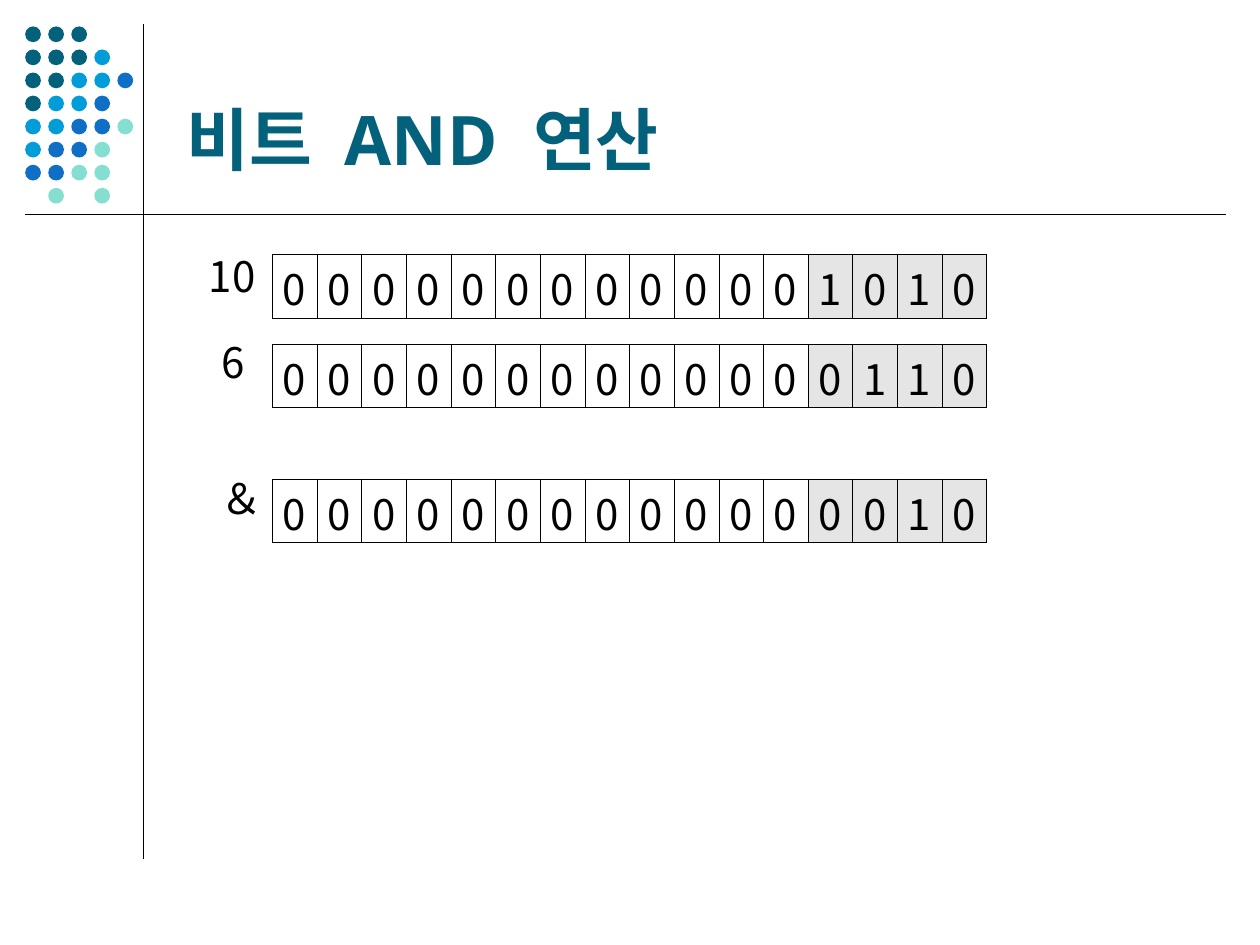
from dataclasses import dataclass

from lxml import etree
from pptx import Presentation
from pptx.dml.color import RGBColor
from pptx.enum.shapes import MSO_CONNECTOR, MSO_SHAPE
from pptx.enum.text import MSO_ANCHOR, PP_ALIGN
from pptx.oxml.ns import qn
from pptx.util import Emu, Inches, Pt

ELLIPSE = MSO_SHAPE.OVAL
STRAIGHT = MSO_CONNECTOR.STRAIGHT
MIDDLE, BOTTOM = MSO_ANCHOR.MIDDLE, MSO_ANCHOR.BOTTOM
LEFT, CENTER = PP_ALIGN.LEFT, PP_ALIGN.CENTER

SLIDE_WIDTH, SLIDE_HEIGHT = Inches(10), Inches(7.5)
GRID_COLUMNS, GRID_ROWS = 100, 75


@dataclass(frozen=True)
class Theme:
    ink: str = "000000"
    title: str = "04617B"
    shaded: str = "E5E5E5"
    title_font: str = "Noto Sans"
    body_font: str = "Noto Sans CJK KR"
    title_size: float = 39
    body_size: float = 24
    rule_width: float = 0.75
    border_width: float = 0.06
    title_gap: float = 10


@dataclass(frozen=True)
class Area:
    column: float
    row: float
    columns: float
    rows: float

    def lengths(self) -> tuple:
        return (across(self.column), down(self.row),
                across(self.columns), down(self.rows))


@dataclass(frozen=True)
class BitRow:
    label: str
    label_area: Area
    bits: str
    row: float


THEME = Theme()
DOT_COLORS = {"D": "04617B", "C": "009DD9", "B": "0F6FC6", "M": "85DFD0"}
DOT_PATTERN = ("DDD", "DDDC", "DDCCB", "DCCB", "CCBBM", "CBBM", "BBMM", " M M")
DOT_PITCH, DOT_SIZE = 1.83, 1.25
DOT_LEFT, DOT_TOP = 2, 2.1

TABLE_LEFT, TABLE_COLUMNS, TABLE_ROWS = 21.6, 56.7, 5.05
SHADED_BITS = 4
BIT_ROWS = (
    BitRow("10", Area(15.6, 19.4, 7.5, 5), "0000000000001010", 20.2),
    BitRow("6", Area(16.6, 26.2, 7.1, 5), "0000000000000110", 27.3),
    BitRow("＆", Area(16.5, 37, 6.8, 5), "0000000000000010", 38),
)


def across(columns: float) -> Emu:
    return Emu(round(SLIDE_WIDTH * columns / GRID_COLUMNS))


def down(rows: float) -> Emu:
    return Emu(round(SLIDE_HEIGHT * rows / GRID_ROWS))


def apply_format(target, values: dict) -> None:
    for name, value in values.items():
        setattr(target, name, value)


def add_run(paragraph, text: str, font: str, size: float, color: str, bold: bool):
    run = paragraph.add_run()
    run.text = text
    apply_format(run.font, {"name": font, "size": Pt(size), "bold": bold})
    run.font.color.rgb = RGBColor.from_string(color)
    east_asian = etree.SubElement(run.font._element, qn("a:ea"))
    east_asian.set("typeface", THEME.body_font)
    return run


def add_body_text(paragraph, text: str, alignment) -> None:
    paragraph.alignment = alignment
    add_run(paragraph, text, THEME.body_font, THEME.body_size, THEME.ink, False)


def add_rule(slide, start: tuple, end: tuple) -> None:
    connector = slide.shapes.add_connector(
        STRAIGHT, across(start[0]), down(start[1]), across(end[0]), down(end[1]))
    connector.line.color.rgb = RGBColor.from_string(THEME.ink)
    connector.line.width = Pt(THEME.rule_width)
    etree.SubElement(connector._element.spPr, qn("a:effectLst"))


def add_dots(slide) -> None:
    for row, pattern in enumerate(DOT_PATTERN):
        for column, key in enumerate(pattern):
            if key not in DOT_COLORS:
                continue
            area = Area(DOT_LEFT + column * DOT_PITCH, DOT_TOP + row * DOT_PITCH,
                        DOT_SIZE, DOT_SIZE)
            dot = slide.shapes.add_shape(ELLIPSE, *area.lengths())
            dot.shadow.inherit = False
            dot.fill.solid()
            dot.fill.fore_color.rgb = RGBColor.from_string(DOT_COLORS[key])
            dot.line.fill.background()


def add_text_box(slide, area: Area, anchor, wrap: bool):
    shape = slide.shapes.add_textbox(*area.lengths())
    apply_format(shape.text_frame, {"word_wrap": wrap, "vertical_anchor": anchor})
    return shape.text_frame.paragraphs[0]


def add_title(slide) -> None:
    paragraph = add_text_box(slide, Area(13.8, 2.1, 82.5, 12.6), BOTTOM, True)
    for text in ("비트", " ", "AND", " ", "연산"):
        run = add_run(paragraph, text, THEME.title_font, THEME.title_size,
                      THEME.title, True)
        if text == " ":
            run.font._element.set("spc", str(round(THEME.title_gap * 100)))


def add_borders(cell) -> None:
    properties = cell._tc.get_or_add_tcPr()
    for index, side in enumerate(("a:lnL", "a:lnR", "a:lnT", "a:lnB")):
        line = etree.Element(qn(side), w=str(Pt(THEME.border_width)))
        fill = etree.SubElement(line, qn("a:solidFill"))
        etree.SubElement(fill, qn("a:srgbClr"), val=THEME.ink)
        properties.insert(index, line)


def add_bit_table(slide, bit_row: BitRow) -> None:
    count = len(bit_row.bits)
    area = Area(TABLE_LEFT, bit_row.row, TABLE_COLUMNS, TABLE_ROWS)
    table = slide.shapes.add_table(1, count, *area.lengths()).table
    apply_format(table, {"first_row": False, "horz_banding": False})
    for index, bit in enumerate(bit_row.bits):
        table.columns[index].width = across(TABLE_COLUMNS / count)
        cell = table.cell(0, index)
        apply_format(cell, {"margin_left": 0, "margin_right": 0, "margin_top": 0,
                            "margin_bottom": 0, "vertical_anchor": BOTTOM})
        if index >= count - SHADED_BITS:
            cell.fill.solid()
            cell.fill.fore_color.rgb = RGBColor.from_string(THEME.shaded)
        else:
            cell.fill.background()
        add_borders(cell)
        add_body_text(cell.text_frame.paragraphs[0], bit, CENTER)


def main() -> None:
    presentation = Presentation()
    apply_format(presentation, {"slide_width": SLIDE_WIDTH,
                                "slide_height": SLIDE_HEIGHT})
    slide = presentation.slides.add_slide(presentation.slide_layouts[6])
    add_rule(slide, (11.4, 1.9), (11.4, 68.2))
    add_dots(slide)
    add_rule(slide, (2, 17), (97.3, 17))
    add_title(slide)
    for bit_row in BIT_ROWS:
        label = add_text_box(slide, bit_row.label_area, MIDDLE, False)
        add_body_text(label, bit_row.label, LEFT)
        add_bit_table(slide, bit_row)
    presentation.save("out.pptx")


if __name__ == "__main__":
    main()
